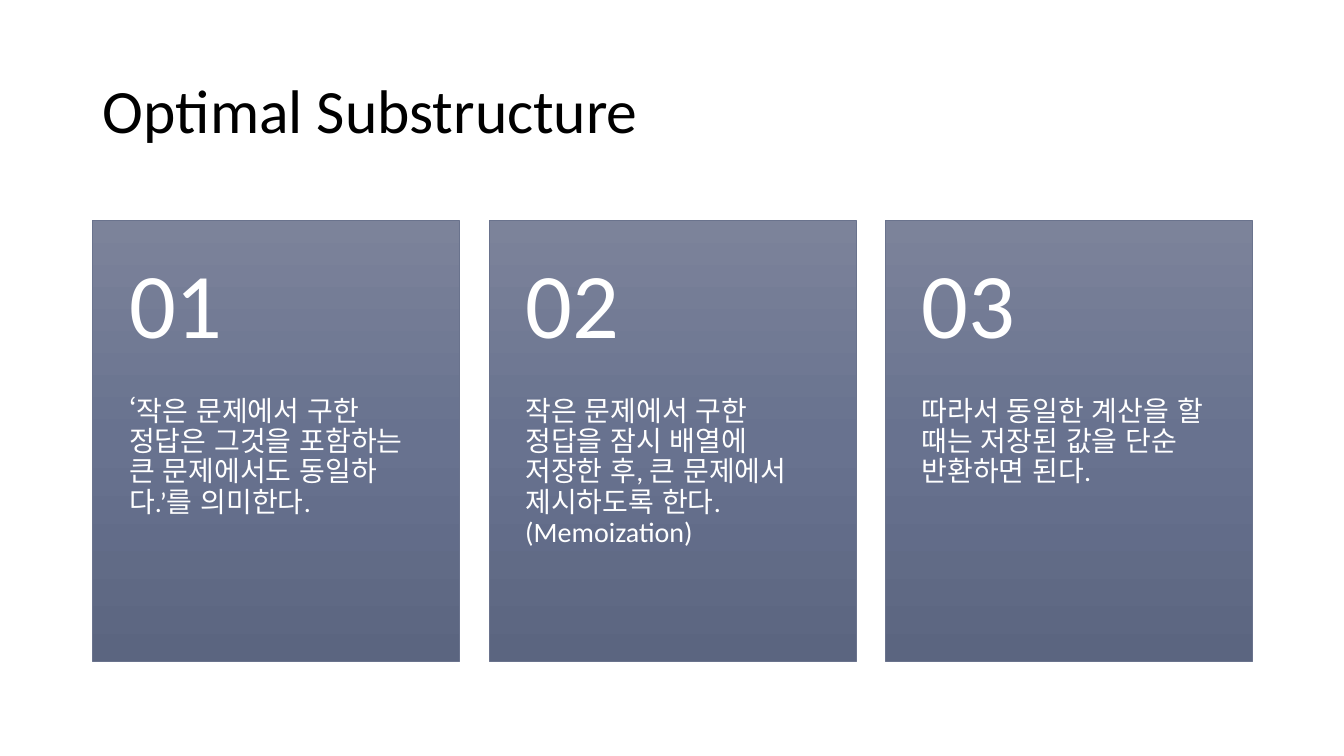
import copy

import pptx
import pptx.dml.color
import pptx.enum.lang
import pptx.enum.shapes
import pptx.enum.text
import pptx.oxml.ns
import pptx.util

Inches = pptx.util.Inches
Pt = pptx.util.Pt
RGBColor = pptx.dml.color.RGBColor
Anchor = pptx.enum.text.MSO_ANCHOR

BLACK = RGBColor(0x00, 0x00, 0x00)
WHITE = RGBColor(0xFF, 0xFF, 0xFF)
CARD_LINE = RGBColor(0x6A, 0x73, 0x8D)
CARD_TOP = RGBColor(0x7C, 0x83, 0x9A)
CARD_MIDDLE = RGBColor(0x68, 0x72, 0x8F)
CARD_BOTTOM = RGBColor(0x5B, 0x65, 0x80)

LEFT = 0.92
CARD_Y = 2.19
CARD_WIDTH = 3.64
CARD_HEIGHT = 4.37
CARD_STEP = 3.93
NUMBER_HEIGHT = 1.75
SIDE_MARGIN = 0.36

CARD_TEXTS = [
    "‘작은 문제에서 구한 정답은 그것을 포함하는 큰 문제에서도 동일하다.’를 의미한다.",
    "작은 문제에서 구한 정답을 잠시 배열에 저장한 후, 큰 문제에서 제시하도록 한다.\v(Memoization)",
    "따라서 동일한 계산을 할 때는 저장된 값을 단순 반환하면 된다.",
]


def format_text(text_frame, size, color, anchor):
    """Apply the common paragraph and font settings to a text frame."""
    text_frame.word_wrap = True
    text_frame.auto_size = pptx.enum.text.MSO_AUTO_SIZE.NONE
    text_frame.vertical_anchor = anchor
    for paragraph in text_frame.paragraphs:
        paragraph.alignment = pptx.enum.text.PP_ALIGN.LEFT
        paragraph.line_spacing = 0.9
        for run in paragraph.runs:
            run.font.name = "Calibri"
            run.font.size = Pt(size)
            run.font.color.rgb = color
            run.font.language_id = pptx.enum.lang.MSO_LANGUAGE_ID.KOREAN


def add_card_text(slide, text, x, y, height, size, anchor, top, bottom):
    """Add a card-wide text box with the given vertical margins."""
    box = slide.shapes.add_textbox(
        Inches(x), Inches(y), Inches(CARD_WIDTH), Inches(height))
    text_frame = box.text_frame
    text_frame.margin_left = text_frame.margin_right = Inches(SIDE_MARGIN)
    text_frame.margin_top = Inches(top)
    text_frame.margin_bottom = Inches(bottom)
    text_frame.text = text
    format_text(text_frame, size, WHITE, anchor)


presentation = pptx.Presentation()
presentation.slide_width = Inches(13.33)
presentation.slide_height = Inches(7.5)
slide = presentation.slides.add_slide(presentation.slide_layouts[5])

title = slide.shapes.title
title.left, title.top = Inches(LEFT), Inches(0.4)
title.width, title.height = Inches(11.5), Inches(1.45)
title.text_frame.text = "Optimal Substructure"
format_text(title.text_frame, 44, BLACK, Anchor.MIDDLE)

for index, card_text in enumerate(CARD_TEXTS):
    x = LEFT + index * CARD_STEP
    card = slide.shapes.add_shape(
        pptx.enum.shapes.MSO_SHAPE.RECTANGLE,
        Inches(x), Inches(CARD_Y), Inches(CARD_WIDTH), Inches(CARD_HEIGHT))
    card.shadow.inherit = False
    card.line.color.rgb = CARD_LINE
    card.line.width = Pt(0.5)

    card.fill.gradient()
    card.fill.gradient_angle = 270
    stop_list = card._element.spPr.find(".//" + pptx.oxml.ns.qn("a:gsLst"))
    stop_list.insert(1, copy.deepcopy(stop_list[0]))
    stop_list[1].set("pos", "50000")
    stop_list[2].set("pos", "100000")
    for stop, color in zip(card.fill.gradient_stops,
                           (CARD_TOP, CARD_MIDDLE, CARD_BOTTOM)):
        stop.color.rgb = color

    add_card_text(slide, card_text, x, CARD_Y + NUMBER_HEIGHT,
                  CARD_HEIGHT - NUMBER_HEIGHT, 20, Anchor.TOP, 0, SIDE_MARGIN)
    add_card_text(slide, f"{index + 1:02}", x, CARD_Y,
                  NUMBER_HEIGHT, 66, Anchor.MIDDLE, 0.18, 0.18)

presentation.save("out.pptx")
